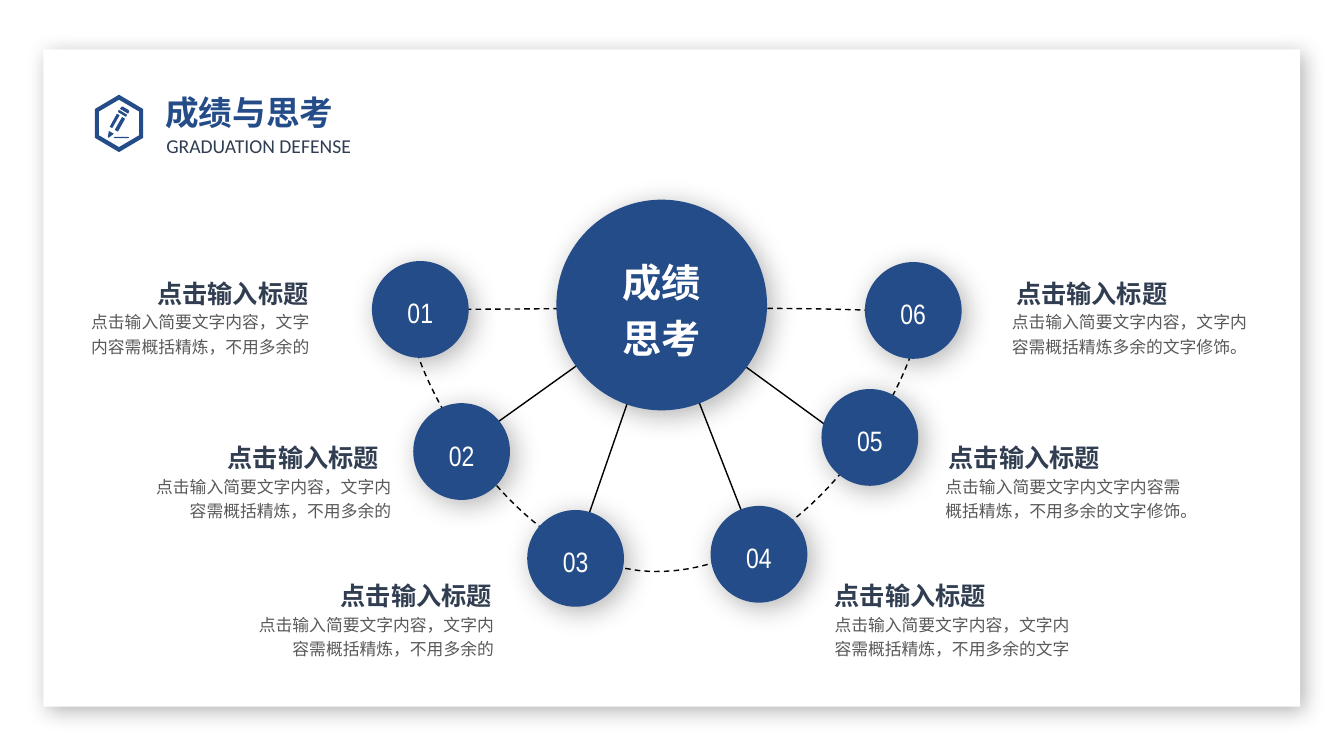
from lxml import etree
from pptx import Presentation
from pptx.dml.color import RGBColor
from pptx.enum.dml import MSO_LINE
from pptx.enum.shapes import MSO_CONNECTOR, MSO_SHAPE
from pptx.enum.text import MSO_ANCHOR, PP_ALIGN
from pptx.oxml.ns import qn
from pptx.util import Pt

COLORS = {"blue": "244C89", "dark": "313D51", "gray": "595959",
          "white": "FFFFFF", "black": "000000"}
CJK = "Noto Sans CJK SC"
NODE = 69.1
HUB = (472.3, 218)
HEADING = "点击输入标题"
LEFT_TEXT = "点击输入简要文字内容，文字内容需概括精炼，不用多余的"

# number, node left/top, heading left/top, body left/width, body text
ITEMS = [
    ("02", 295.2, 288, 110.9, 311.8, 97.2, 189.4, LEFT_TEXT),
    ("03", 376.6, 364.3, 191.5, 410.4, 175, 185, LEFT_TEXT),
    ("04", 507.6, 361.4, 586.8, 410.4, 589, 190, LEFT_TEXT + "文字"),
    ("05", 586.8, 277.9, 668.2, 311.8, 668.2, 190,
     "点击输入简要文字内文字内容需概括精炼，不用多余的文字修饰。"),
    ("06", 617.8, 187.2, 716.4, 194.4, 715.7, 190,
     "点击输入简要文字内容，文字内容需概括精炼多余的文字修饰。"),
    ("01", 265.7, 186.5, 60.5, 194.4, 55.4, 172.8, LEFT_TEXT),
]
SPOKE_ENDS = [(316, 329.8), (407.5, 405.4), (542.9, 398.9), (625.7, 329.8)]

# Closed orbit: start, then cubic segments (control, control, end)
ORBIT_START = (298.1, 221)
ORBIT = [((325.4, 221.8), (625.7, 216.7), (656.6, 224.6)),
         ((661.7, 248.4), (594, 403.2), (473.8, 408.2)),
         ((353.5, 413.3), (271.4, 219.6), ORBIT_START)]

# Pencil parts of the header icon
PENCIL = [
    [(82, 97.8), (91.5, 97.8), (92.2, 98.3), (91.5, 98.8), (82, 98.8), (81.3, 98.3)],
    [(82, 92.8), (87.2, 83.6), (89.4, 84.9), (84.2, 94.1)],
    [(78.4, 90.6), (83.5, 81.3), (85.5, 82.3), (80.2, 91.5)],
    [(77, 97.9), (77.8, 93.6), (81.3, 95.6), (78, 98.2), (77.3, 98.4)],
    [(85, 78.5), (84.2, 80), (90, 83.5), (90.8, 82)],
    [(86.4, 76.8), (87, 76.2), (87.9, 76.3), (91.5, 78.4), (92.2, 79.2),
     (92.1, 80), (91.5, 81.2), (85.7, 77.8)],
]


def rgb(name):
    return RGBColor.from_string(COLORS[name])


def set_text(tf, text, size, color, font=CJK, bold=False, align=PP_ALIGN.LEFT,
             spacing=1.2, anchor=MSO_ANCHOR.TOP, insets=(7.2, 3.6, 7.2, 3.6)):
    tf.word_wrap = True
    tf.vertical_anchor = anchor
    tf.margin_left, tf.margin_top, tf.margin_right, tf.margin_bottom = map(Pt, insets)
    for i, line in enumerate(text.split("\n")):
        p = tf.add_paragraph() if i else tf.paragraphs[0]
        p.alignment = align
        p.line_spacing = spacing
        r = p.add_run()
        r.text = line
        r.font.name, r.font.size, r.font.bold = font, Pt(size), bold
        r.font.color.rgb = rgb(color)
        ea = etree.SubElement(r.font._element, qn("a:ea"))
        ea.set("typeface", CJK)


def add_text(s, box, text, **fmt):
    set_text(s.shapes.add_textbox(*map(Pt, box)).text_frame, text, **fmt)


def add_shadow(sp, blur, alpha=30):
    effects = sp._element.spPr.find(qn("a:effectLst"))
    shadow = etree.SubElement(effects, qn("a:outerShdw"), blurRad=str(Pt(blur)),
                              dist=str(Pt(5)), dir=str(45 * 60000),
                              algn="tl", rotWithShape="0")
    color = etree.SubElement(shadow, qn("a:srgbClr"), val=COLORS["black"])
    etree.SubElement(color, qn("a:alpha"), val=str(alpha * 1000))


def add_filled(shapes, kind, box, color, blur=0):
    sp = shapes.add_shape(kind, *map(Pt, box))
    sp.shadow.inherit = False
    sp.fill.solid()
    sp.fill.fore_color.rgb = rgb(color)
    sp.line.fill.background()
    if blur:
        add_shadow(sp, blur)
    return sp


def add_outline(s, contours):
    """One freeform made of closed contours."""
    builder = None
    for contour in contours:
        start, *rest = [(Pt(x), Pt(y)) for x, y in contour]
        if builder is None:
            builder = s.shapes.build_freeform(*start)
        else:
            builder.move_to(*start)
        builder.add_line_segments(rest, close=True)
    sp = builder.convert_to_shape()
    sp.shadow.inherit = False
    return sp


def hexagon(half_w, half_h, cx=85, cy=88.2):
    side = half_h / 2
    return [(cx, cy - half_h), (cx + half_w, cy - side), (cx + half_w, cy + side),
            (cx, cy + half_h), (cx - half_w, cy + side), (cx - half_w, cy - side)]


def orbit_points(steps=40):
    points = [ORBIT_START]
    for c1, c2, end in ORBIT:
        start = points[-1]
        for i in range(1, steps + 1):
            t = i / steps
            u = 1 - t
            points.append(tuple(u**3 * a + 3 * u * u * t * b + 3 * u * t * t * c + t**3 * d
                                for a, b, c, d in zip(start, c1, c2, end)))
    return points


def add_header(s):
    icon = add_outline(s, [hexagon(17.3, 20.5), hexagon(14.4, 16.9)] + PENCIL)
    icon.fill.solid()
    icon.fill.fore_color.rgb = rgb("blue")
    icon.line.fill.background()
    add_text(s, (118.8, 89.3, 156.2, 24.5), "GRADUATION DEFENSE", size=14, color="dark",
             font="Calibri", spacing=Pt(23), insets=(0, 0, 0, 3.6))
    title = s.shapes.title
    title.left, title.top, title.width, title.height = map(Pt, (110.9, 59, 285.8, 36))
    set_text(title.text_frame, "成绩与思考", size=24, color="blue", font="Lato",
             bold=True, anchor=MSO_ANCHOR.MIDDLE)
    s.shapes._spTree.append(title._element)  # bring above the card


def add_orbit(s):
    sp = add_outline(s, [orbit_points()])
    sp.fill.background()
    sp.line.color.rgb = rgb("black")
    sp.line.width = Pt(1)
    sp.line.dash_style = MSO_LINE.DASH


def add_spoke(s, end):
    line = s.shapes.add_connector(MSO_CONNECTOR.STRAIGHT, *map(Pt, end + HUB))
    line.line.color.rgb = rgb("black")
    line.line.width = Pt(1)
    etree.SubElement(line._element.spPr, qn("a:effectLst"))


def add_item(s, number, x, y, head_x, head_y, body_x, body_w, body):
    node = add_filled(s.shapes, MSO_SHAPE.OVAL, (x, y, NODE, NODE), "blue", blur=20)
    set_text(node.text_frame, number, size=20, color="white", font="Arial Narrow",
             align=PP_ALIGN.CENTER, anchor=MSO_ANCHOR.MIDDLE)
    align = PP_ALIGN.RIGHT if x < HUB[0] - NODE else PP_ALIGN.LEFT
    add_text(s, (head_x, head_y, 169.2, 30.2), HEADING, size=18, color="dark",
             bold=True, align=align, insets=(9.4, 0, 9.4, 0))
    add_text(s, (body_x, head_y + 22.1, body_w, 42.5), body, size=12, color="gray",
             align=align)


def add_hub(s):
    group = s.shapes.add_group_shape()
    add_filled(group.shapes, MSO_SHAPE.OVAL, (397.4, 142.6, 150.5, 150.5), "blue", blur=20)
    label = add_filled(group.shapes, MSO_SHAPE.RECTANGLE, (436.3, 180.7, 72.7, 74.2), "blue")
    set_text(label.text_frame, "成绩\n思考", size=28, color="white", bold=True,
             align=PP_ALIGN.CENTER, anchor=MSO_ANCHOR.MIDDLE, insets=(0, 0, 0, 0))


def main():
    prs = Presentation()
    prs.slide_width, prs.slide_height = Pt(960), Pt(540)
    s = prs.slides.add_slide(prs.slide_layouts[5])
    # Card and header
    add_filled(s.shapes, MSO_SHAPE.RECTANGLE, (31, 35.3, 897.8, 469.4), "white", blur=15)
    add_header(s)
    # Diagram
    add_orbit(s)
    for end in SPOKE_ENDS:
        add_spoke(s, end)
    for item in ITEMS:
        add_item(s, *item)
    add_hub(s)
    prs.save("out.pptx")


if __name__ == "__main__":
    main()
